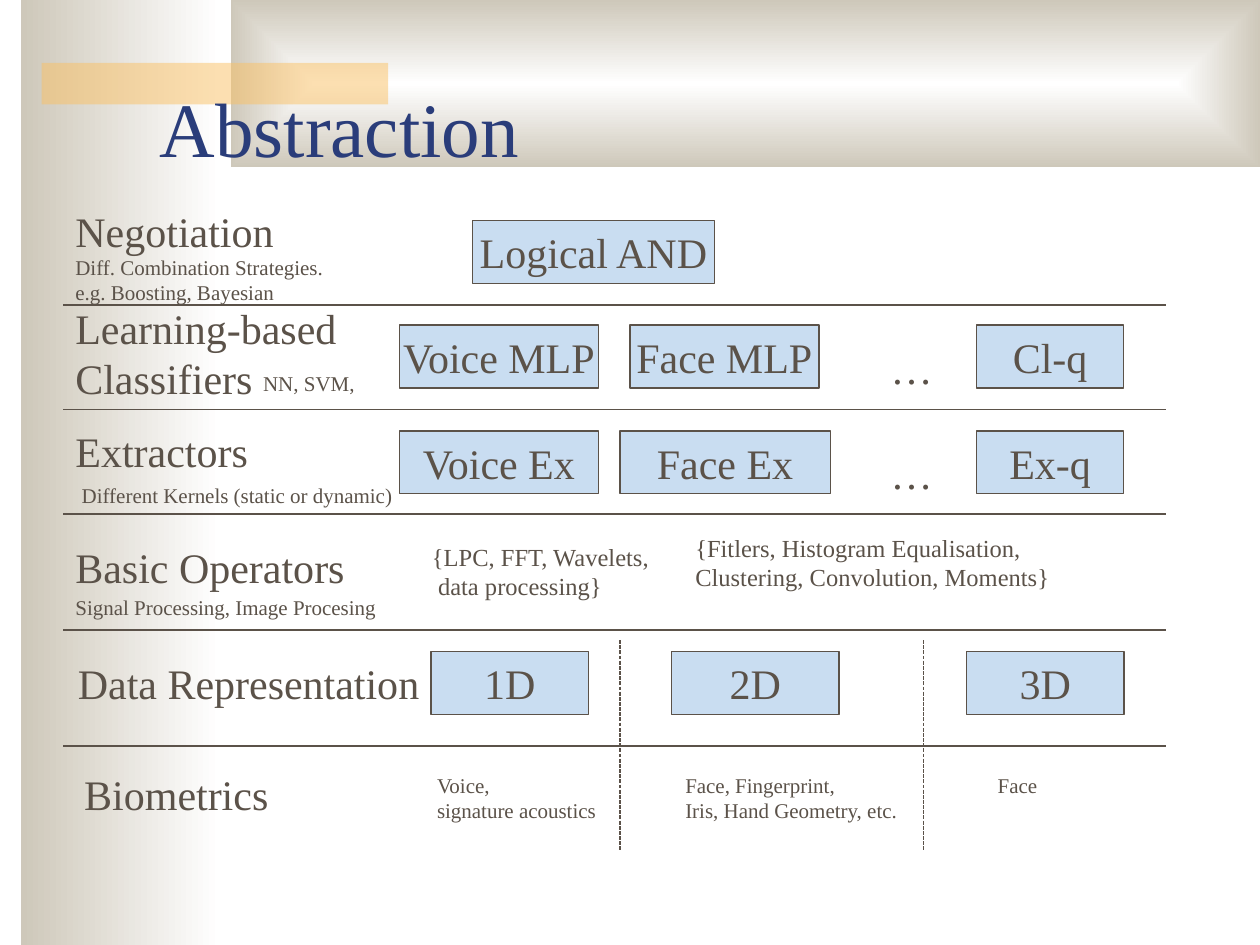
"""Build the Abstraction slide: layers of a biometric system, from data to negotiation."""
from pptx import Presentation
from pptx import util as u
from pptx.dml.color import RGBColor
from pptx.enum import dml, shapes, text
from pptx.oxml import ns, xmlchemy as xc

HUE = {"ink": "5B5249", "title": "2A3D7A", "box": "C9DDF1",
       "sand": "CEC8BA", "white": "FFFFFF", "gold": "FAC164"}
rgb = {name: RGBColor.from_string(code) for name, code in HUE.items()}

deck = Presentation()
deck.slide_width, deck.slide_height = u.Inches(10), u.Inches(7.5)
slide = deck.slides.add_slide(deck.slide_layouts[6])
pool = slide.shapes


def rect(x, y, w, h):
    """Add a rectangle with neither shadow nor line."""
    item = pool.add_shape(shapes.MSO_SHAPE.RECTANGLE, *map(u.Inches, (x, y, w, h)))
    item.shadow.inherit = False
    item.line.fill.background()
    return item


def write(words, at, size=24, hue="ink", box=False, wrap=False, low=False):
    """Write text in a plain frame or in a filled box."""
    if box:
        item = rect(*at)
        item.fill.solid()
        item.fill.fore_color.rgb = rgb["box"]
        item.line.color.rgb = rgb["ink"]
        item.line.width = u.Pt(0.75)
    else:
        item = pool.add_textbox(*map(u.Inches, at))
    frame = item.text_frame
    frame.text = words
    frame.word_wrap = wrap
    if box:
        frame.vertical_anchor = text.MSO_ANCHOR.MIDDLE
    elif low:
        frame.vertical_anchor = text.MSO_ANCHOR.BOTTOM
    else:
        frame.auto_size = text.MSO_AUTO_SIZE.SHAPE_TO_FIT_TEXT
    for para in frame.paragraphs:
        para.alignment = text.PP_ALIGN.CENTER if box else text.PP_ALIGN.LEFT
        para.font.size = u.Pt(size)
        para.font.name = "Times New Roman"
        para.font.color.rgb = rgb[hue]


side = rect(0.17, 0, 1.58, 7.5)
head = rect(1.83, 0, 8.17, 1.33)
for band in (side, head):
    band.fill.gradient()
    band.fill.gradient_angle = 180
    for stop, hue in zip(band.fill.gradient_stops, ("white", "sand")):
        stop.color.rgb = rgb[hue]
grad = head._element.spPr.find(ns.qn("a:gradFill"))
grad.remove(grad.find(ns.qn("a:lin")))
shade = xc.OxmlElement("a:path")
shade.set("path", "rect")
focus = xc.OxmlElement("a:fillToRect")
for edge in "ltrb":
    focus.set(edge, "50000")
shade.append(focus)
grad.append(shade)

bar = rect(0.33, 0.5, 2.75, 0.33)
bar.fill.solid()
bar.fill.fore_color.rgb = rgb["gold"]
alpha = xc.OxmlElement("a:alpha")
alpha.set("val", "50000")
bar._element.spPr.find(".//" + ns.qn("a:srgbClr")).append(alpha)

rules = [(0.5, y, 9.25, y, False) for y in (2.42, 3.25, 4.08, 5, 5.92)]
rules += [(x, 5.08, x, 6.75, True) for x in (4.92, 7.33)]
for *ends, dots in rules:
    rule = pool.add_connector(shapes.MSO_CONNECTOR.STRAIGHT, *map(u.Inches, ends))
    rule.line.color.rgb = rgb["ink"]
    rule.line.width = u.Pt(0.75)
    if dots:
        rule.line.dash_style = dml.MSO_LINE.SQUARE_DOT
    rule._element.spPr.append(xc.OxmlElement("a:effectLst"))

boxes = {
    1.75: [("Logical AND", 3.75, 1.92)],
    2.58: [("Voice MLP", 3.17, 1.58), ("Face MLP", 5, 1.5), ("Cl-q", 7.75, 1.17)],
    3.42: [("Voice Ex", 3.17, 1.58), ("Face Ex", 4.92, 1.67), ("Ex-q", 7.75, 1.17)],
    5.17: [("1D", 3.42, 1.25), ("2D", 5.33, 1.33), ("3D", 7.67, 1.25)],
}
for y, row in boxes.items():
    for words, x, w in row:
        write(words, (x, y, w, 0.5), box=True)

labels = {
    24: [("Negotiation", 0.5, 1.58, 1.79, 0.5),
         ("Learning-based\nClassifiers", 0.5, 2.35, 2.37, 0.9),
         ("Extractors", 0.5, 3.33, 1.59, 0.5),
         ("Basic Operators", 0.5, 4.25, 2.36, 0.5),
         ("Data Representation", 0.52, 5.17, 2.93, 0.5),
         ("Biometrics", 0.57, 6.05, 1.68, 0.5),
         ("…", 6.97, 2.67, 0.55, 0.5),
         ("…", 6.97, 3.5, 0.55, 0.5)],
    14: [("{LPC, FFT, Wavelets,\n data processing}", 3.33, 4.25, 1.97, 0.57),
         ("{Fitlers, Histogram Equalisation,\nClustering, Convolution, Moments}",
          5.42, 4.18, 3.03, 0.57)],
    12: [("Diff. Combination Strategies.\ne.g. Boosting, Bayesian", 0.5, 1.97, 2.23, 0.5),
         ("NN, SVM,", 1.99, 2.89, 0.94, 0.3),
         ("Different Kernels (static or dynamic)", 0.55, 3.78, 2.69, 0.3),
         ("Signal Processing, Image Procesing", 0.5, 4.67, 2.61, 0.3),
         ("Voice,\nsignature acoustics", 3.37, 6.08, 1.48, 0.5),
         ("Face, Fingerprint,\nIris, Hand Geometry, etc.", 5.34, 6.08, 1.91, 0.5),
         ("Face", 7.82, 6.08, 0.53, 0.3)],
}
for size, group in labels.items():
    for words, *at in group:
        write(words, at, size=size)

write("Abstraction", (1.17, 0.17, 8.5, 1.25), size=44, hue="title", wrap=True, low=True)

deck.save("out.pptx")
